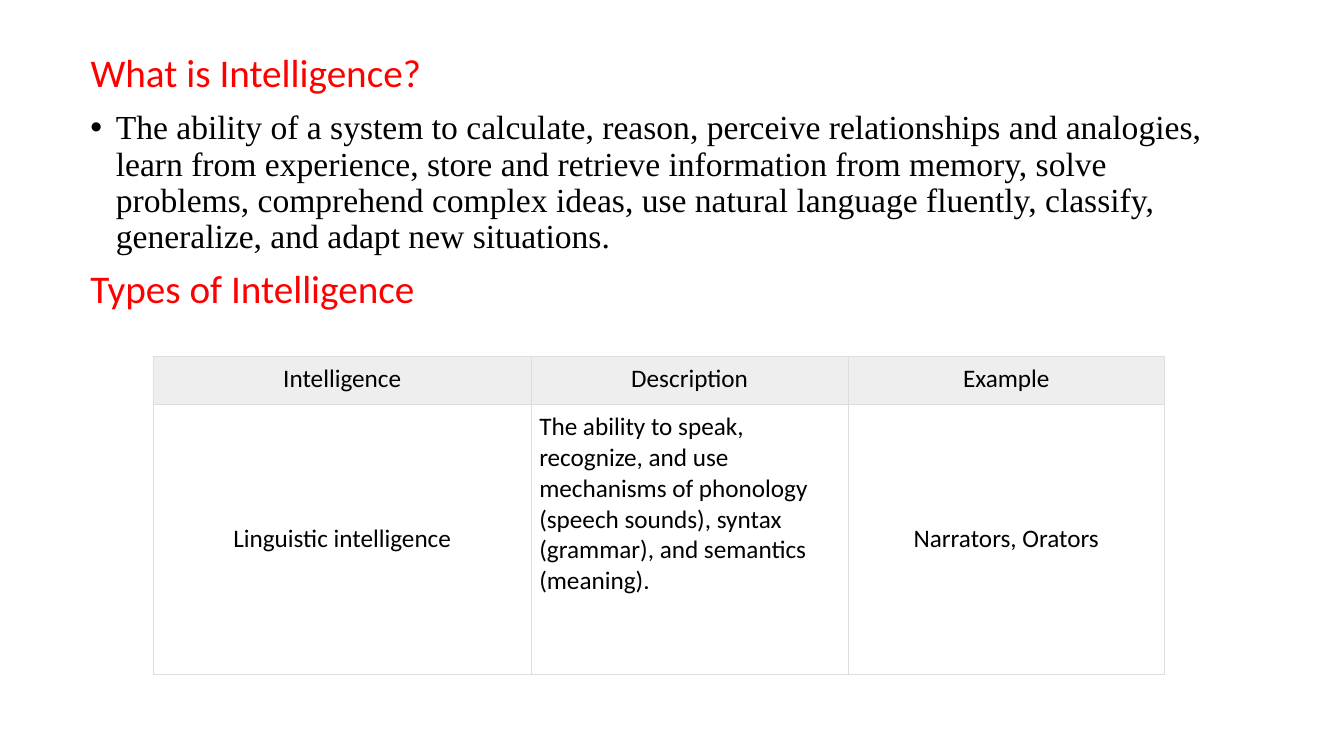
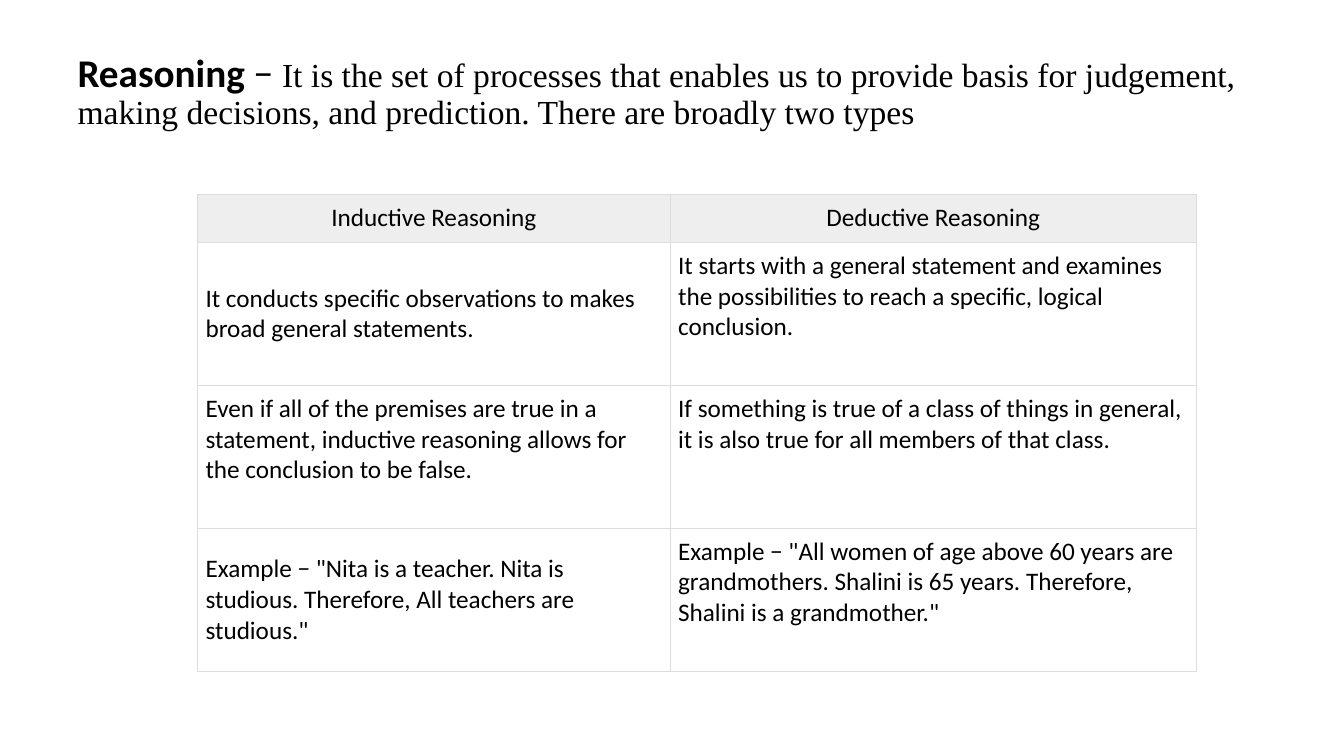
from dataclasses import dataclass

from lxml import etree
from pptx import Presentation
from pptx.dml.color import RGBColor
from pptx.enum.text import MSO_ANCHOR, MSO_AUTO_SIZE, PP_ALIGN
from pptx.oxml.ns import qn
from pptx.util import Cm, Pt

TOP, MIDDLE = MSO_ANCHOR.TOP, MSO_ANCHOR.MIDDLE
LEFT, CENTER = PP_ALIGN.LEFT, PP_ALIGN.CENTER
FIXED = MSO_AUTO_SIZE.NONE

SANS, SERIF = "Calibri", "Times New Roman"
BLACK, RED, HEAD, RULE = "000000", "FF0000", "EEEEEE", "DDDDDD"
TITLE_TOP, HEAD_ROW, INSET = 1.22, 1.21, 0.2
BIG, MID, SMALL = 28, 24, 18


@dataclass(frozen=True)
class Box:
    left: float
    top: float
    width: float
    height: float


@dataclass(frozen=True)
class Entry:
    text: str
    align: PP_ALIGN = LEFT
    anchor: MSO_ANCHOR = TOP


@dataclass(frozen=True)
class Grid:
    left: float
    top: float
    widths: tuple[float, ...]
    height: float
    heads: tuple[str, ...]
    rows: tuple[tuple[Entry, ...], ...]


TYPES = Grid(
    3.86, 8.97, (9.53, 7.98, 7.98), 6.81,
    ("Intelligence", "Description", "Example"),
    ((
        Entry("Linguistic intelligence", CENTER, MIDDLE),
        Entry("The ability to speak, recognize, and use mechanisms of phonology "
              "(speech sounds), syntax (grammar), and semantics (meaning)."),
        Entry("Narrators, Orators", CENTER, MIDDLE),
    ),),
)

REASONS = Grid(
    4.98, 4.9, (11.91, 13.26), 3.6,
    ("Inductive Reasoning", "Deductive Reasoning"),
    (
        (
            Entry("It conducts specific observations to makes broad general statements.",
                  anchor=MIDDLE),
            Entry("It starts with a general statement and examines the possibilities "
                  "to reach a specific, logical conclusion."),
        ),
        (
            Entry("Even if all of the premises are true in a statement, inductive "
                  "reasoning allows for the conclusion to be false."),
            Entry("If something is true of a class of things in general, it is also "
                  "true for all members of that class."),
        ),
        (
            Entry('Example − "Nita is a teacher. Nita is studious. Therefore, '
                  'All teachers are studious."', anchor=MIDDLE),
            Entry('Example − "All women of age above 60 years are grandmothers. '
                  'Shalini is 65 years. Therefore, Shalini is a grandmother."'),
        ),
    ),
)


def tint(code: str) -> RGBColor:
    return RGBColor.from_string(code)


def write(par, text: str, *, size: int = SMALL, font: str = SANS,
          color: str = BLACK, bold: bool = False) -> None:
    run = par.add_run()
    run.text = text
    run.font.size = Pt(size)
    run.font.name = font
    run.font.bold = bold
    run.font.color.rgb = tint(color)


def space(par) -> None:
    par.alignment = LEFT
    par.line_spacing = 0.9
    par.space_before = Pt(10)


def bullet(par) -> None:
    props = par._p.get_or_add_pPr()
    props.set("marL", str(Cm(0.64)))
    props.set("indent", str(-Cm(0.64)))
    etree.SubElement(props, qn("a:buFont"), typeface="Arial")
    etree.SubElement(props, qn("a:buChar"), char="•")


def place(shape, box: Box):
    shape.left, shape.top = Cm(box.left), Cm(box.top)
    shape.width, shape.height = Cm(box.width), Cm(box.height)
    frame = shape.text_frame
    frame.word_wrap = True
    frame.auto_size = FIXED
    frame.vertical_anchor = TOP
    par = frame.paragraphs[0]
    space(par)
    return par


def border(cell) -> None:
    props = cell._tc.get_or_add_tcPr()
    for side in ("L", "R", "T", "B"):
        line = etree.SubElement(props, qn(f"a:ln{side}"), w=str(Pt(0.75)))
        fill = etree.SubElement(line, qn("a:solidFill"))
        etree.SubElement(fill, qn("a:srgbClr"), val=RULE)


def fill_cell(cell, entry: Entry, shade: bool) -> None:
    cell.margin_left = cell.margin_right = Cm(INSET)
    cell.margin_top = cell.margin_bottom = Cm(INSET)
    cell.vertical_anchor = entry.anchor
    border(cell)
    if shade:
        cell.fill.solid()
        cell.fill.fore_color.rgb = tint(HEAD)
    else:
        cell.fill.background()
    par = cell.text_frame.paragraphs[0]
    par.alignment = entry.align
    write(par, entry.text)


def add_grid(slide, grid: Grid) -> None:
    rows = (tuple(Entry(head, CENTER) for head in grid.heads), *grid.rows)
    tall = HEAD_ROW + grid.height * len(grid.rows)
    table = slide.shapes.add_table(
        len(rows), len(grid.widths), Cm(grid.left), Cm(grid.top),
        Cm(sum(grid.widths)), Cm(tall)).table
    table.first_row = table.horz_banding = False
    for col, width in zip(table.columns, grid.widths):
        col.width = Cm(width)
    for i, row in enumerate(rows):
        table.rows[i].height = Cm(grid.height if i else HEAD_ROW)
        for j, entry in enumerate(row):
            fill_cell(table.cell(i, j), entry, shade=i == 0)


def add_slide(deck):
    return deck.slides.add_slide(deck.slide_layouts[5])


def define(deck) -> None:
    slide = add_slide(deck)
    par = place(slide.shapes.title, Box(2.03, TITLE_TOP, 29.51, 1.35))
    write(par, "What is Intelligence?", size=BIG, color=RED)
    body = slide.shapes.add_textbox(0, 0, 0, 0)
    par = place(body, Box(2.03, 2.67, 29.51, 5.6))
    bullet(par)
    write(par, "The ability of a system to calculate, reason, perceive relationships "
               "and analogies, learn from experience, store and retrieve information "
               "from memory, solve problems, comprehend complex ideas, use natural "
               "language fluently, classify, generalize, and adapt new situations.",
          size=MID, font=SERIF)
    par = body.text_frame.add_paragraph()
    space(par)
    write(par, "Types of Intelligence", size=BIG, color=RED)
    add_grid(slide, TYPES)


def reason(deck) -> None:
    slide = add_slide(deck)
    par = place(slide.shapes.title, Box(1.7, TITLE_TOP, 29.84, 2.4))
    write(par, "Reasoning", size=BIG, bold=True)
    write(par, " − ", size=BIG)
    write(par, "It is the set of processes that enables us to provide basis for "
               "judgement, making decisions, and prediction. There are broadly two types",
          size=MID, font=SERIF)
    add_grid(slide, REASONS)


def main() -> None:
    deck = Presentation()
    deck.slide_width, deck.slide_height = Cm(33.87), Cm(19.05)
    define(deck)
    reason(deck)
    deck.save("out.pptx")


if __name__ == "__main__":
    main()
